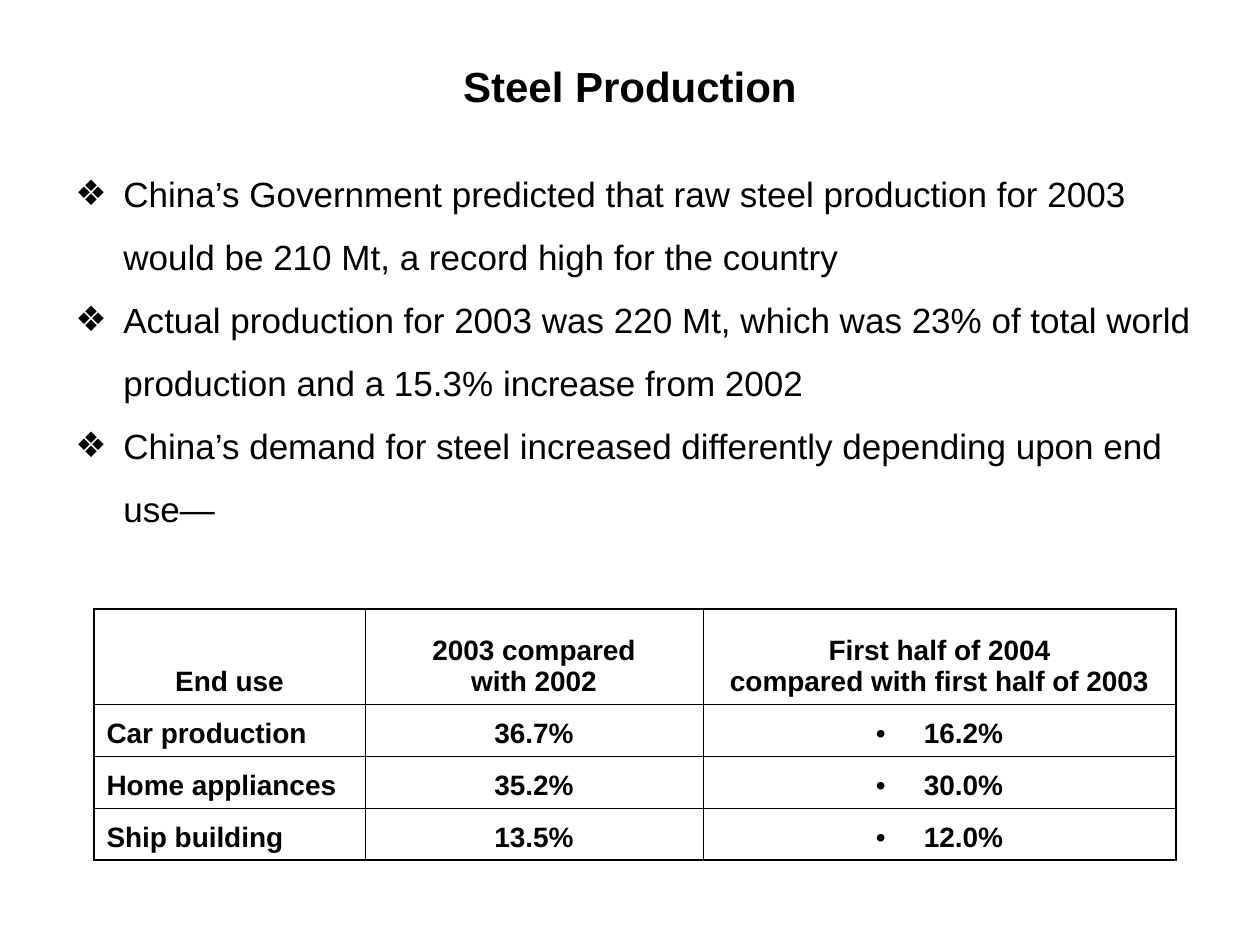
import pptx
import pptx.dml.color
import pptx.enum.text
import pptx.oxml
import pptx.oxml.ns
import pptx.util

EMU_PER_PX = 914400 / 126
ALIGN = pptx.enum.text.PP_ALIGN
ANCHOR = pptx.enum.text.MSO_ANCHOR


def px(length):
    return pptx.util.Emu(round(length * EMU_PER_PX))


def color(value):
    return pptx.dml.color.RGBColor.from_string(value)


def xml(tag, attributes="", inner=""):
    namespace = pptx.oxml.ns.nsdecls("a")
    return pptx.oxml.parse_xml(f"<a:{tag} {namespace} {attributes}>{inner}</a:{tag}>")


class SlideBuilder:
    font_name = "Arial"
    ink = "000000"
    hanging = 48
    thin, thick = 0.45, 1.08

    def __init__(self, deck):
        self.slide = deck.slides.add_slide(deck.slide_layouts[5])

    def fill_text(self, frame, lines, size, bold=False, align=ALIGN.LEFT, bullet=None, spacing=1.0):
        for index, line in enumerate(lines):
            para = frame.paragraphs[0] if index == 0 else frame.add_paragraph()
            para.add_run().text = line
            para.alignment = align
            para.line_spacing = spacing
            para.space_before = pptx.util.Pt(0)
            if bullet:
                self.add_bullet(para, bullet)
            para.font.name = self.font_name
            para.font.size = pptx.util.Pt(size)
            para.font.bold = bold
            para.font.color.rgb = color(self.ink)

    def add_bullet(self, para, bullet):
        properties = para._p.get_or_add_pPr()
        properties.set("marL", str(px(self.hanging)))
        properties.set("indent", str(-px(self.hanging)))
        properties.append(xml("buClr", inner=f'<a:srgbClr val="{self.ink}"/>'))
        properties.append(xml("buFont", f'typeface="{self.font_name}"'))
        properties.append(xml("buChar", f'char="{bullet}"'))

    def title(self, text, left, top, width, height):
        box = self.slide.shapes.title
        box.left, box.top, box.width, box.height = map(px, (left, top, width, height))
        box.text_frame.vertical_anchor = ANCHOR.MIDDLE
        self.fill_text(box.text_frame, [text], 24, bold=True, align=ALIGN.CENTER)

    def bullets(self, lines, left, top, width, height):
        box = self.slide.shapes.add_textbox(*map(px, (left, top, width, height)))
        box.text_frame.word_wrap = True
        self.fill_text(box.text_frame, lines, 20, bullet="❖", spacing=1.5)

    def table(self, rows, left, top, widths, heights):
        """Draw a grid with a heavier outer frame; the last column's values are bulleted."""
        area = map(px, (left, top, sum(widths), sum(heights)))
        table = self.slide.shapes.add_table(len(rows), len(widths), *area).table
        for column, width in zip(table.columns, widths):
            column.width = px(width)
        last_row, last_column = len(rows) - 1, len(widths) - 1
        for r, row in enumerate(rows):
            table.rows[r].height = px(heights[r])
            for c, text in enumerate(row):
                cell = table.cell(r, c)
                cell.vertical_anchor = ANCHOR.BOTTOM
                cell.fill.background()
                self.fill_text(
                    cell.text_frame, text.split("\n"), 16, bold=True,
                    align=ALIGN.LEFT if r > 0 and c == 0 else ALIGN.CENTER,
                    bullet="•" if r > 0 and c == last_column else None,
                )
                outer = {"L": c == 0, "R": c == last_column, "T": r == 0, "B": r == last_row}
                self.add_borders(cell, outer)

    def add_borders(self, cell, outer):
        properties = cell._tc.get_or_add_tcPr()
        fill = f'<a:solidFill><a:srgbClr val="{self.ink}"/></a:solidFill>'
        for index, (side, is_outer) in enumerate(outer.items()):
            width = pptx.util.Pt(self.thick if is_outer else self.thin)
            properties.insert(index, xml(f"ln{side}", f'w="{width}"', fill))


def main():
    deck = pptx.Presentation()
    deck.slide_width, deck.slide_height = px(1260), px(945)
    builder = SlideBuilder(deck)
    builder.title("Steel Production", 63, 54, 1134, 63)
    builder.bullets(
        [
            "China’s Government predicted that raw steel production for 2003 "
            "would be 210 Mt, a record high for the country",
            "Actual production for 2003 was 220 Mt, which was 23% of total world "
            "production and a 15.3% increase from 2002",
            "China’s demand for steel increased differently depending upon end use—",
        ],
        63, 145, 1144, 412,
    )
    builder.table(
        [
            ["End use", "2003 compared\nwith 2002",
             "First half of 2004\ncompared with first half of 2003"],
            ["Car production", "36.7%", "16.2%"],
            ["Home appliances", "35.2%", "30.0%"],
            ["Ship building", "13.5%", "12.0%"],
        ],
        94, 609, widths=[271, 338, 473], heights=[95, 52, 52, 52],
    )
    deck.save("out.pptx")


if __name__ == "__main__":
    main()
